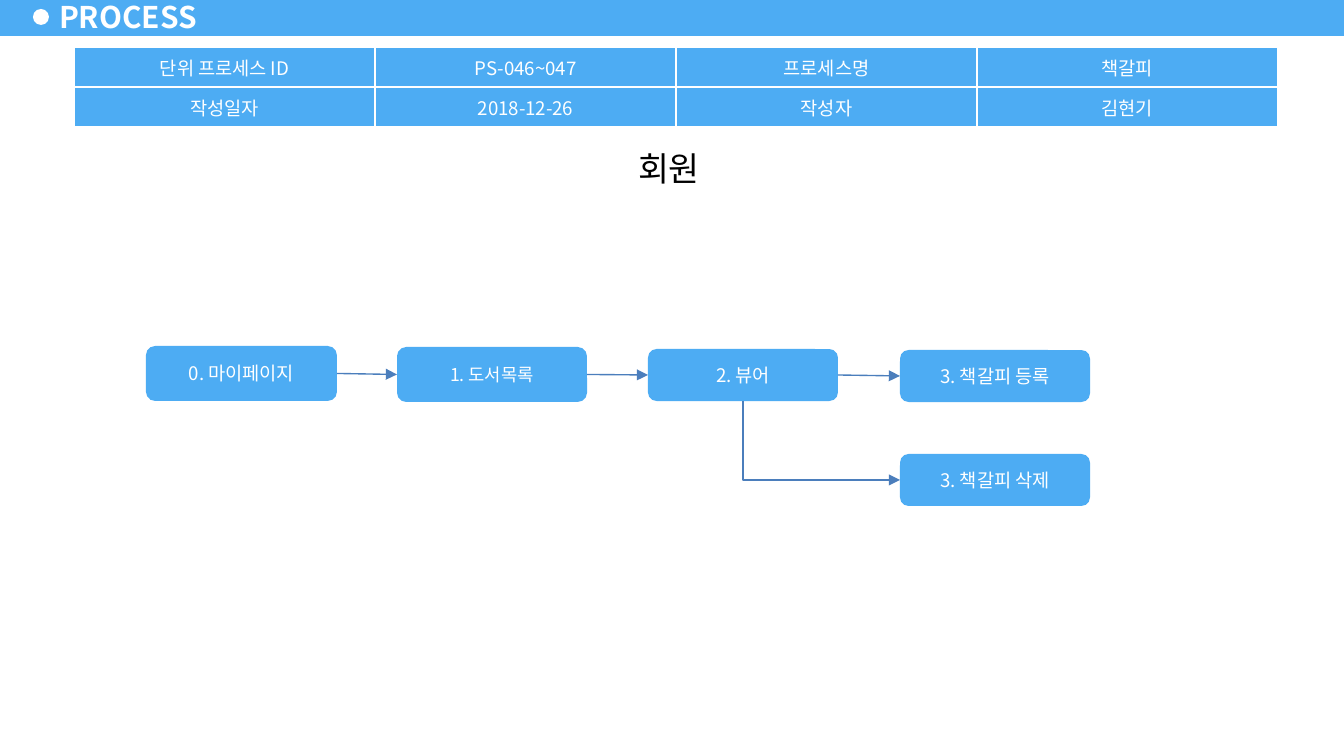
import pptx
import pptx.util
import pptx.dml.color
import pptx.enum.shapes
import pptx.enum.text
import pptx.oxml.ns
import lxml.etree

SHAPE = pptx.enum.shapes.MSO_SHAPE
LINK = pptx.enum.shapes.MSO_CONNECTOR
ALIGN = pptx.enum.text.PP_ALIGN
ANCHOR = pptx.enum.text.MSO_ANCHOR
TOP, LEFT, BOTTOM, RIGHT = range(4)


def px(n):
    return pptx.util.Emu(round(n * 914400 / 134.4))


def color(value):
    return pptx.dml.color.RGBColor.from_string(value)


def sub(parent, tag, **attrs):
    return lxml.etree.SubElement(parent, pptx.oxml.ns.qn(tag), attrs)


class Deck:
    FONT = "Noto Sans CJK KR"
    BLUE = "4DACF3"
    WHITE = "FFFFFF"
    BLACK = "000000"
    ARROW = "4B7EBC"

    def __init__(self, width, height):
        self.prs = pptx.Presentation()
        self.prs.slide_width, self.prs.slide_height = px(width), px(height)
        self.s = self.prs.slides.add_slide(self.prs.slide_layouts[6])

    def add_run(self, tf, text, size, hue=WHITE, align=ALIGN.CENTER, bold=False):
        p = tf.paragraphs[0]
        p.alignment = align
        r = p.add_run()
        r.text = text
        r.font.size = pptx.util.Pt(size)
        r.font.name = self.FONT
        r.font.bold = bold
        r.font.color.rgb = color(hue)
        sub(r.font._element, "a:ea", typeface=self.FONT)

    def shape(self, kind, box, fill):
        sp = self.s.shapes.add_shape(kind, *map(px, box))
        sp.shadow.inherit = False
        sp.fill.solid()
        sp.fill.fore_color.rgb = color(fill)
        sp.line.fill.background()
        return sp

    def step(self, box, text, size=10):
        sp = self.shape(SHAPE.ROUNDED_RECTANGLE, box, self.BLUE)
        sp.text_frame.vertical_anchor = ANCHOR.MIDDLE
        self.add_run(sp.text_frame, text, size)
        return sp

    def text(self, box, text, size, **style):
        tf = self.s.shapes.add_textbox(*map(px, box)).text_frame
        tf.word_wrap = True
        tf.vertical_anchor = ANCHOR.MIDDLE
        self.add_run(tf, text, size, **style)

    def table(self, box, rows):
        frame = self.s.shapes.add_table(len(rows), len(rows[0]), *map(px, box))
        for r, row in enumerate(rows):
            for c, text in enumerate(row):
                cell = frame.table.cell(r, c)
                cell.vertical_anchor = ANCHOR.MIDDLE
                self.add_run(cell.text_frame, text, 10)
                tcPr = cell._tc.get_or_add_tcPr()
                for side in ("a:lnL", "a:lnR", "a:lnT", "a:lnB"):
                    ln = sub(tcPr, side, w="12700")
                    sub(sub(ln, "a:solidFill"), "a:srgbClr", val=self.WHITE)
                cell.fill.solid()
                cell.fill.fore_color.rgb = color(self.BLUE)

    def arrow(self, start, end, kind=LINK.STRAIGHT, site=RIGHT):
        cx = self.s.shapes.add_connector(kind, 0, 0, 0, 0)
        cx.begin_connect(start, site)
        cx.end_connect(end, LEFT)
        cx.line.color.rgb = color(self.ARROW)
        cx.line.width = pptx.util.Pt(0.75)
        sub(cx.line._get_or_add_ln(), "a:tailEnd", type="triangle")
        sub(cx._element.spPr, "a:effectLst")
        return cx

    def corner_arrow(self, start, end):
        cx = self.arrow(start, end, LINK.ELBOW, BOTTOM)
        x, y = start.left + start.width // 2, start.top + start.height
        across, down = end.left - x, end.top + end.height // 2 - y
        cx.left, cx.top = x + (across - down) // 2, y + (down - across) // 2
        cx.width, cx.height = down, across
        spPr = cx._element.spPr
        spPr.find(pptx.oxml.ns.qn("a:prstGeom")).set("prst", "bentConnector2")
        xfrm = spPr.find(pptx.oxml.ns.qn("a:xfrm"))
        xfrm.set("rot", "16200000")
        xfrm.set("flipH", "1")
        xfrm.attrib.pop("flipV", None)


deck = Deck(1344, 756)
deck.shape(SHAPE.RECTANGLE, (0, -2, 1344, 38), deck.BLUE)
deck.shape(SHAPE.OVAL, (33, 9, 16, 16), deck.WHITE)
deck.text((46, -5, 165, 43), "PROCESS", 16, align=ALIGN.LEFT, bold=True)

deck.table((74, 47, 1204, 80), [
    ("단위 프로세스 ID", "PS-046~047", "프로세스명", "책갈피"),
    ("작성일자", "2018-12-26", "작성자", "김현기"),
])

heading = deck.shape(SHAPE.RECTANGLE, (530, 141, 278, 55), deck.WHITE)
heading.text_frame.vertical_anchor = ANCHOR.TOP
deck.add_run(heading.text_frame, "회원", 18, deck.BLACK)

my_page = deck.step((146, 346, 191, 55), "0. 마이페이지")
books = deck.step((397, 347, 190, 55), "1. 도서목록", 9.5)
viewer = deck.step((648, 349, 190, 52), "2. 뷰어")
add_mark = deck.step((900, 350, 190, 52), "3. 책갈피 등록")
drop_mark = deck.step((900, 454, 190, 52), "3. 책갈피 삭제")

flow = (my_page, books, viewer, add_mark)
for start, end in zip(flow, flow[1:]):
    deck.arrow(start, end)
deck.corner_arrow(viewer, drop_mark)

deck.prs.save("out.pptx")
